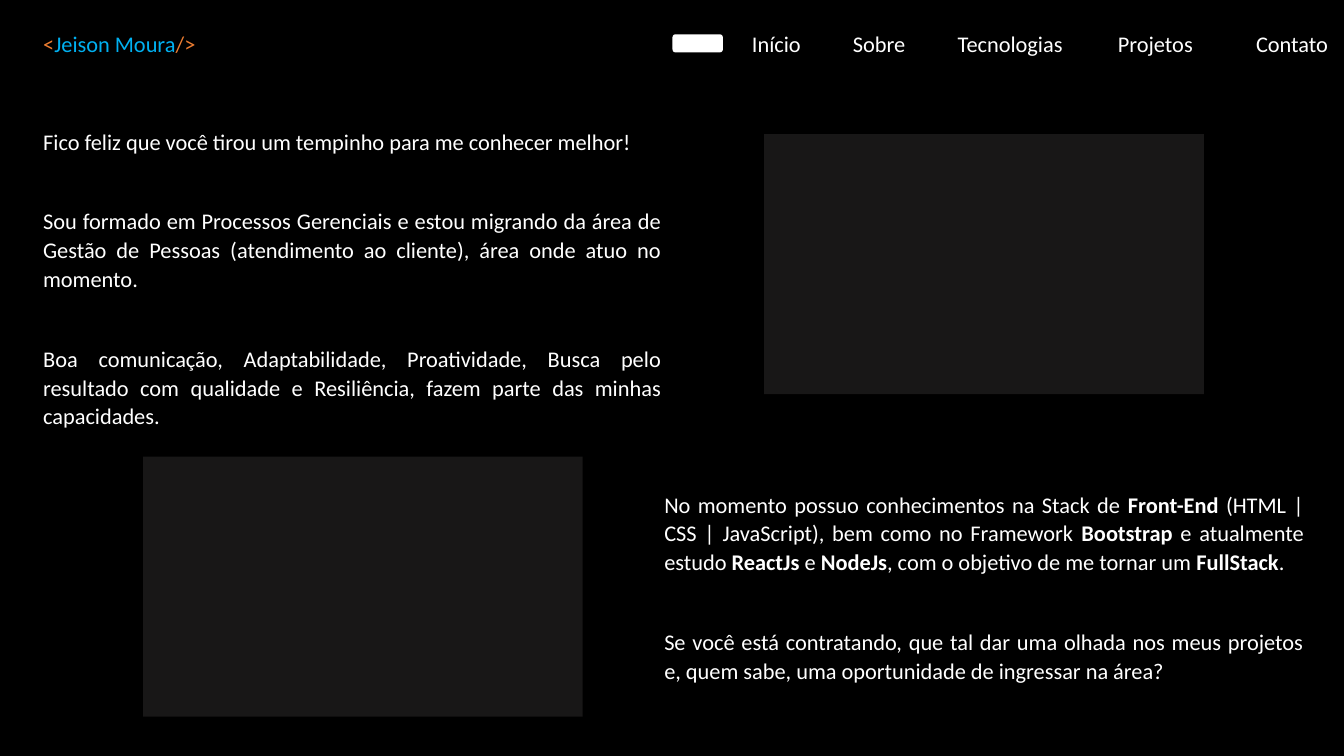
from lxml import etree
from pptx import Presentation
from pptx.dml.color import RGBColor
from pptx.enum.shapes import MSO_SHAPE
from pptx.enum.text import PP_ALIGN
from pptx.oxml.ns import qn
from pptx.util import Inches, Pt

RECT, ROUND = MSO_SHAPE.RECTANGLE, MSO_SHAPE.ROUNDED_RECTANGLE
JUSTIFY, LEFT = PP_ALIGN.JUSTIFY, PP_ALIGN.LEFT

COLORS = {"bg": "000000", "text": "FFFFFF", "panel": "181717",
          "bracket": "ED7D31", "name": "00B0F0"}

# Content: paragraphs are lists of (text, color, bold) runs
BRAND = [[("<", "bracket", False), ("Jeison Moura", "name", False),
          ("/>", "bracket", False)]]
NAV = ["Início", "Sobre", "Tecnologias", "Projetos", "Contato"]
NAV_TABS = [1.0, 2.04, 3.63, 5.0]
ABOUT = [
    ["Fico feliz que você tirou um tempinho para me conhecer melhor!"],
    ["Sou formado em Processos Gerenciais e estou migrando da área de Gestão "
     "de Pessoas (atendimento ao cliente), área onde atuo no momento."],
    ["Boa comunicação, Adaptabilidade, Proatividade, Busca pelo resultado com "
     "qualidade e Resiliência, fazem parte das minhas capacidades."],
]
# Every second piece is bold
SKILLS = [
    ["No momento possuo conhecimentos na Stack de ", "Front-End",
     " (HTML | CSS | JavaScript), bem como no Framework ", "Bootstrap",
     " e atualmente estudo ", "ReactJs", " e ", "NodeJs",
     ", com o objetivo de me tornar um ", "FullStack", "."],
    ["Se você está contratando, que tal dar uma olhada nos meus projetos e, "
     "quem sabe, uma oportunidade de ingressar na área?"],
]
BLOCKS = [(ABOUT, (0.33, 1.2, 6.33, 3.13)), (SKILLS, (6.49, 4.8, 6.54, 2.04))]
SHAPES = [
    (RECT, "panel", (7.58, 1.33, 4.36, 2.58)),
    (RECT, "panel", (1.42, 4.53, 4.36, 2.58)),
    (ROUND, "text", (6.67, 0.34, 0.5, 0.18)),
]

prs = Presentation()
prs.slide_width, prs.slide_height = Inches(13.33), Inches(7.5)
s = prs.slides.add_slide(prs.slide_layouts[6])


def rgb(name):
    return RGBColor.from_string(COLORS[name])


def add_text(paragraphs, box, align=LEFT, line=1.0, after=0):
    tf = s.shapes.add_textbox(*map(Inches, box)).text_frame
    tf.word_wrap = True
    for i, runs in enumerate(paragraphs):
        p = tf.paragraphs[0] if i == 0 else tf.add_paragraph()
        p.alignment, p.line_spacing = align, line
        p.space_after = Pt(after)
        for text, color, bold in runs:
            r = p.add_run()
            r.text = text
            r.font.name, r.font.size, r.font.bold = "Calibri", Pt(16), bold
            r.font.color.rgb = rgb(color)
    return tf


# Background
s.background.fill.solid()
s.background.fill.fore_color.rgb = rgb("bg")

# Body text
for block, box in BLOCKS:
    paragraphs = [[(text, "text", i % 2 == 1) for i, text in enumerate(pieces)]
                  for pieces in block]
    add_text(paragraphs, box, JUSTIFY, 1.07, 36.5)

# Panels and nav marker
for kind, color, box in SHAPES:
    sp = s.shapes.add_shape(kind, *map(Inches, box))
    sp.shadow.inherit = False
    sp.fill.solid()
    sp.fill.fore_color.rgb = rgb(color)
    sp.line.fill.background()

# Header: brand and tabbed navigation
add_text(BRAND, (0.33, 0.25, 1.75, 0.37))
nav = add_text([[("\t".join(NAV), "text", False)]], (7.36, 0.25, 5.97, 0.37))
pPr = nav.paragraphs[0]._p.get_or_add_pPr()
tabs = etree.SubElement(pPr, qn("a:tabLst"))
for pos in NAV_TABS:
    etree.SubElement(tabs, qn("a:tab"), pos=str(Inches(pos)), algn="l")

prs.save("out.pptx")
